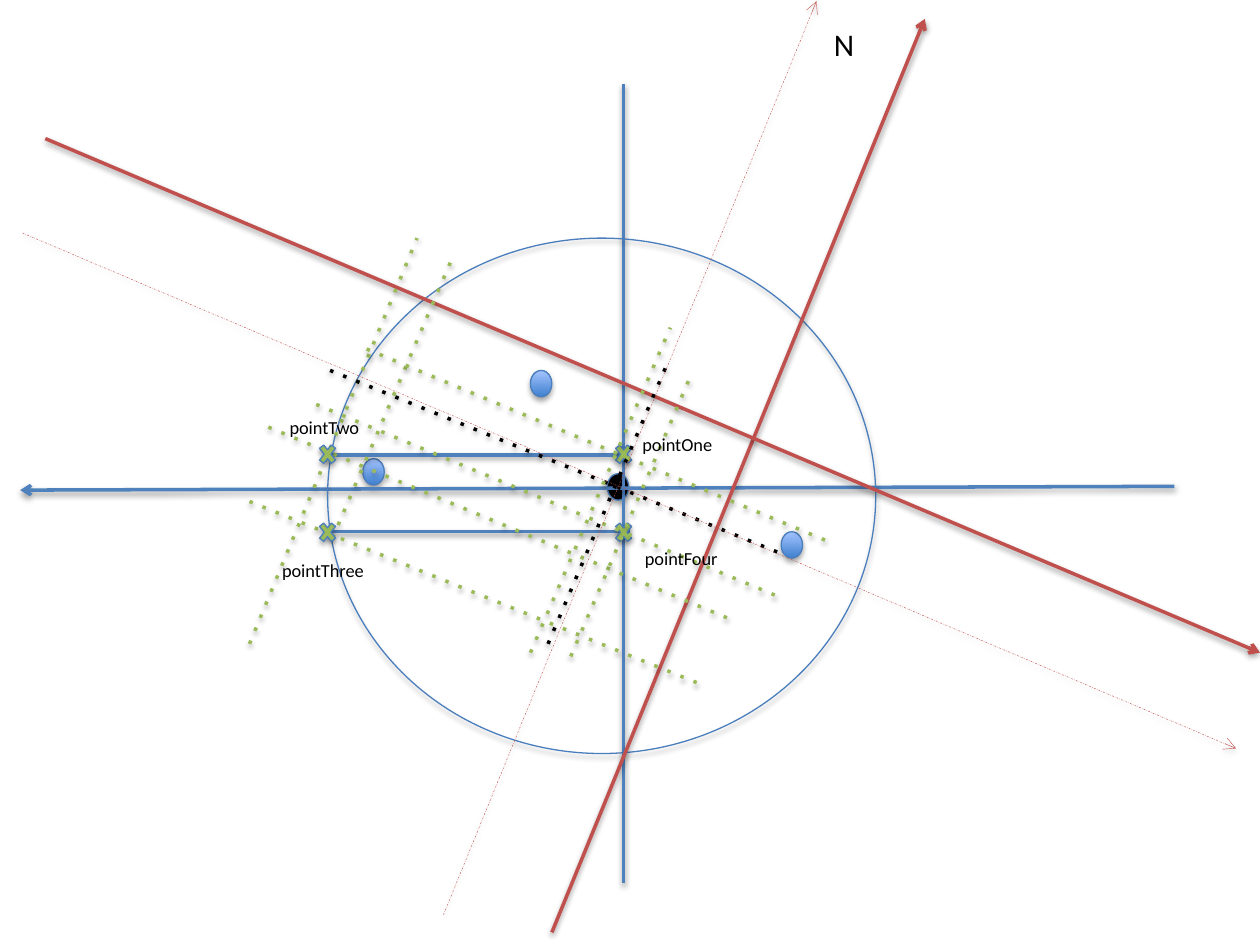
from lxml import etree
from pptx import Presentation
from pptx.dml.color import RGBColor
from pptx.enum.shapes import MSO_CONNECTOR, MSO_SHAPE
from pptx.enum.text import MSO_AUTO_SIZE
from pptx.oxml.ns import qn
from pptx.util import Inches, Pt

STRAIGHT = MSO_CONNECTOR.STRAIGHT
OVAL = MSO_SHAPE.OVAL
CROSS = MSO_SHAPE.MATH_MULTIPLY
FIT_TEXT = MSO_AUTO_SIZE.SHAPE_TO_FIT_TEXT

BLUE = "4F81BD"
OUTLINE = "4B7EBC"
RED = "C0504D"
GREEN = "9BBB59"
BLACK = "000000"
GRADIENT = ("3F80CE", "A4C4FF")


def color(value):
    return RGBColor.from_string(value)


class Diagram:
    font = "Calibri"

    def __init__(self, slide):
        self.slide = slide

    def add_shadow(self, shape, opacity, distance):
        effects = etree.SubElement(shape._element.spPr, qn("a:effectLst"))
        shadow = etree.SubElement(
            effects, qn("a:outerShdw"), blurRad=str(Pt(3.1)), dist=str(Pt(distance)),
            dir="5400000", rotWithShape="0")
        tone = etree.SubElement(shadow, qn("a:srgbClr"), val=BLACK)
        etree.SubElement(tone, qn("a:alpha"), val=str(opacity * 1000))

    def shape(self, kind, left, top, width, height, fill=None):
        shape = self.slide.shapes.add_shape(
            kind, Inches(left), Inches(top), Inches(width), Inches(height))
        if fill is None:
            shape.fill.background()
        elif fill == GRADIENT:
            shape.fill.gradient()
            shape.fill.gradient_angle = 90
            for stop, tone in zip(shape.fill.gradient_stops, GRADIENT):
                stop.color.rgb = color(tone)
        else:
            shape.fill.solid()
            shape.fill.fore_color.rgb = color(fill)
        shape.line.color.rgb = color(OUTLINE)
        shape.line.width = Pt(0.75)
        self.add_shadow(shape, 35, 1.8)

    def dot(self, left, top, fill=GRADIENT):
        self.shape(OVAL, left, top, 0.17, 0.21, fill)

    def line(self, start, end, tone, width=2, dash=None, arrow=False):
        line = self.slide.shapes.add_connector(
            STRAIGHT, *(Inches(value) for value in start + end))
        line.line.color.rgb = color(tone)
        line.line.width = Pt(width)
        outline = line.line._get_or_add_ln()
        if dash:
            etree.SubElement(outline, qn("a:prstDash"), val=dash)
        if arrow:
            etree.SubElement(outline, qn("a:tailEnd"), type="arrow")
        self.add_shadow(line, 38, 1.6)

    def label(self, text, left, top, width, height, size=10.5):
        box = self.slide.shapes.add_textbox(
            Inches(left), Inches(top), Inches(width), Inches(height))
        frame = box.text_frame
        frame.word_wrap = False
        frame.auto_size = FIT_TEXT
        frame.text = text
        font = frame.paragraphs[0].runs[0].font
        font.name = self.font
        font.size = Pt(size)
        font.color.rgb = color(BLACK)


def main():
    deck = Presentation()
    deck.slide_width, deck.slide_height = Inches(10), Inches(7.5)
    diagram = Diagram(deck.slides.add_slide(deck.slide_layouts[6]))

    diagram.dot(2.88, 3.64)
    diagram.dot(4.82, 3.76, BLACK)
    diagram.line((2.6, 3.61), (4.95, 3.61), BLUE)
    diagram.line((4.95, 7.01), (4.95, 0.67), BLUE)
    diagram.line((9.32, 3.86), (0.16, 3.89), BLUE, arrow=True)
    diagram.dot(4.21, 2.94)
    diagram.shape(OVAL, 2.6, 1.89, 4.35, 4.09)
    diagram.dot(6.2, 4.22)
    diagram.line((4.38, 7.4), (7.34, 0.15), RED, arrow=True)
    diagram.label("N", 6.52, 0.15, 0.36, 0.4, 18)
    diagram.line((2.6, 4.22), (5, 4.22), BLUE)
    diagram.line((0.36, 1.1), (10, 5.18), RED, arrow=True)

    left_guides = [
        ((1.98, 5.11), (3.31, 1.89)),
        ((2.13, 3.39), (5.81, 4.92)),
        ((2.64, 4.27), (3.58, 2.07)),
        ((1.98, 3.98), (5.56, 5.43)),
    ]
    for start, end in left_guides:
        diagram.line(start, end, GREEN, dash="dot")

    for left in (2.51, 4.86):
        for top in (3.49, 4.11):
            diagram.shape(CROSS, left, top, 0.18, 0.23, GREEN)

    diagram.line((2.62, 2.94), (6.19, 4.39), BLACK, dash="dot")
    diagram.line((4.35, 5.11), (5.29, 2.9), BLACK, dash="dot")

    right_guides = [
        ((2.51, 3.21), (6.19, 4.74)),
        ((2.91, 2.77), (6.58, 4.3)),
        ((4.21, 5.18), (5.32, 2.6)),
        ((4.53, 5.21), (5.47, 3.01)),
    ]
    for start, end in right_guides:
        diagram.line(start, end, GREEN, dash="dot")

    diagram.line((3.52, 7.26), (6.48, 0.01), RED, 0.25, "dashDot", True)
    diagram.line((0.18, 1.85), (9.81, 5.94), RED, 0.25, "dashDot", True)

    diagram.label("pointOne", 5, 3.39, 0.79, 0.29)
    diagram.label("pointTwo", 2.2, 3.25, 0.77, 0.28)
    diagram.label("pointThree", 2.14, 4.39, 0.86, 0.28)
    diagram.label("pointFour", 5.02, 4.29, 0.79, 0.28)

    deck.save("out.pptx")


if __name__ == "__main__":
    main()
